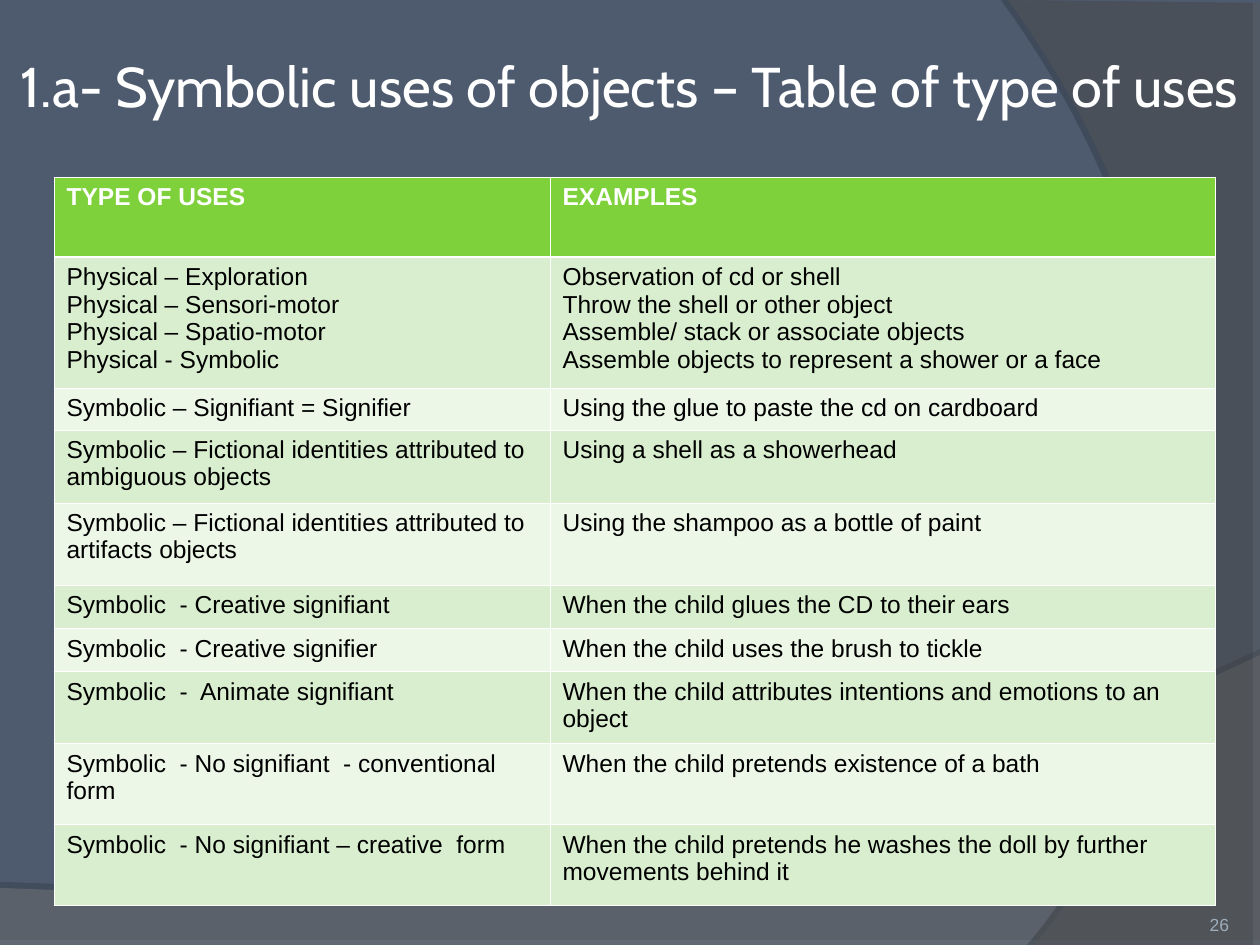
import dataclasses

import lxml.etree
import pptx
import pptx.dml.color
import pptx.enum.text
import pptx.oxml
import pptx.oxml.ns
import pptx.util

PX_PER_INCH = 126
CURVE_STEPS = 60
COLORS = {
    "background": "4E5B6F",
    "wave": "7C7C7C",
    "arc": "595959",
    "shadow": "000000",
    "header": "7FD13B",
    "dark_band": "D8EECE",
    "light_band": "ECF7E8",
    "white": "FFFFFF",
    "black": "000000",
    "number": "9DADBC",
}
Point = tuple[int, int]


@dataclasses.dataclass(frozen=True)
class Swoosh:
    corners: list[Point]
    controls: list[Point]
    color: str
    opacity: int
    shadow_opacity: int
    shadow_distance: float
    shadow_angle: int


@dataclasses.dataclass(frozen=True)
class UseRow:
    kind: str
    example: str
    height: int


SWOOSHES = [
    Swoosh([(0, 888), (0, 946), (1260, 946), (1260, 655)],
           [(704, 919), (493, 906), (0, 888)], "wave", 45, 35, 3.5, 270),
    Swoosh([(1260, 3), (1260, 945), (1034, 945)],
           [(1178, 780), (1283, 378), (1008, 0)], "arc", 40, 45, 4, 180),
]
USE_ROWS = [
    UseRow("TYPE OF USES", "EXAMPLES", 80),
    UseRow("Physical – Exploration\nPhysical – Sensori-motor\n"
           "Physical – Spatio-motor\nPhysical - Symbolic",
           "Observation of cd or shell\nThrow the shell or other object\n"
           "Assemble/ stack or associate objects\n"
           "Assemble objects to represent a shower or a face", 131),
    UseRow("Symbolic – Signifiant = Signifier",
           "Using the glue to paste the cd on cardboard", 42),
    UseRow("Symbolic – Fictional identities attributed to ambiguous objects",
           "Using a shell as a showerhead", 73),
    UseRow("Symbolic – Fictional identities attributed to artifacts objects",
           "Using the shampoo as a bottle of paint", 82),
    UseRow("Symbolic  - Creative signifiant",
           "When the child glues the CD to their ears", 44),
    UseRow("Symbolic  - Creative signifier",
           "When the child uses the brush to tickle", 43),
    UseRow("Symbolic  -  Animate signifiant",
           "When the child attributes intentions and emotions to an object", 72),
    UseRow("Symbolic  - No signifiant  - conventional form",
           "When the child pretends existence of a bath", 81),
    UseRow("Symbolic  - No signifiant – creative  form",
           "When the child pretends he washes the doll by further movements behind it", 81),
]
COLUMN_WIDTHS = [496, 665]


def px(length: int) -> pptx.util.Emu:
    return pptx.util.Emu(round(length * 914400 / PX_PER_INCH))


def rgb(name: str) -> pptx.dml.color.RGBColor:
    return pptx.dml.color.RGBColor.from_string(COLORS[name])


def add_node(parent, tag: str, **attributes):
    node = lxml.etree.SubElement(parent, pptx.oxml.ns.qn(tag))
    for name, value in attributes.items():
        node.set(name, str(value))
    return node


def write_text(frame, text: str, *, size: int, color: str, font: str = "Arial",
               bold: bool = False, align: str = "LEFT", anchor: str | None = None,
               insets: tuple[int, int, int, int] | None = None) -> None:
    frame.word_wrap = True
    if anchor:
        frame.auto_size = pptx.enum.text.MSO_AUTO_SIZE.NONE
        frame.vertical_anchor = pptx.enum.text.MSO_ANCHOR[anchor]
    if insets:
        (frame.margin_left, frame.margin_top,
         frame.margin_right, frame.margin_bottom) = map(px, insets)
    for index, line in enumerate(text.split("\n")):
        para = frame.add_paragraph() if index else frame.paragraphs[0]
        para.alignment = pptx.enum.text.PP_ALIGN[align]
        span = para.add_run()
        span.text = line
        span.font.name = font
        span.font.size = pptx.util.Pt(size)
        span.font.bold = bold
        span.font.color.rgb = rgb(color)


def curve_points(start: Point, controls: list[Point]) -> list[Point]:
    anchors = [start, *controls]
    points = []
    for step in range(1, CURVE_STEPS + 1):
        t = step / CURVE_STEPS
        weights = ((1 - t) ** 3, 3 * t * (1 - t) ** 2, 3 * t ** 2 * (1 - t), t ** 3)
        x, y = (sum(w * anchor[axis] for w, anchor in zip(weights, anchors))
                for axis in (0, 1))
        points.append((px(x), px(y)))
    return points


def draw_swoosh(page, swoosh: Swoosh):
    start, *corners = [(px(x), px(y)) for x, y in swoosh.corners]
    builder = page.shapes.build_freeform(*start, scale=1.0)
    builder.add_line_segments(
        corners + curve_points(swoosh.corners[-1], swoosh.controls), close=True)
    shape = builder.convert_to_shape()
    shape.fill.solid()
    shape.fill.fore_color.rgb = rgb(swoosh.color)
    shape.line.fill.background()
    shape.shadow.inherit = False
    properties = shape.element.spPr
    fill_color = properties.find(pptx.oxml.ns.qn("a:solidFill"))[0]
    add_node(fill_color, "a:alpha", val=swoosh.opacity * 1000)
    effects = properties.find(pptx.oxml.ns.qn("a:effectLst"))
    shadow = add_node(effects, "a:outerShdw", blurRad=0,
                      dist=pptx.util.Pt(swoosh.shadow_distance),
                      dir=swoosh.shadow_angle * 60000, rotWithShape=0)
    shadow_color = add_node(shadow, "a:srgbClr", val=COLORS["shadow"])
    add_node(shadow_color, "a:alpha", val=swoosh.shadow_opacity * 1000)
    return shape


def set_borders(cell, widths: dict[str, float]) -> None:
    properties = cell._tc.get_or_add_tcPr()
    for side, width in widths.items():
        line = add_node(properties, f"a:ln{side}", w=pptx.util.Pt(width))
        fill = add_node(line, "a:solidFill")
        add_node(fill, "a:srgbClr", val=COLORS["white"])


def draw_table(page, left: int, top: int, rows: list[UseRow]) -> None:
    height = sum(row.height for row in rows)
    table = page.shapes.add_table(len(rows), len(COLUMN_WIDTHS), px(left), px(top),
                                  px(sum(COLUMN_WIDTHS)), px(height)).table
    table.first_row = False
    table.horz_banding = False
    for column, width in zip(table.columns, COLUMN_WIDTHS):
        column.width = px(width)
    for index, row in enumerate(rows):
        table.rows[index].height = px(row.height)
        is_header = index == 0
        band = "header" if is_header else "dark_band" if index % 2 else "light_band"
        for position, text in enumerate((row.kind, row.example)):
            cell = table.cell(index, position)
            set_borders(cell, {"L": 0.45, "R": 0.45,
                               "T": 1.47 if index == 1 else 0.45,
                               "B": 1.47 if is_header else 0.45})
            cell.fill.solid()
            cell.fill.fore_color.rgb = rgb(band)
            write_text(cell.text_frame, text, size=14, bold=is_header,
                       color="white" if is_header else "black")


def main() -> None:
    deck = pptx.Presentation()
    deck.slide_width, deck.slide_height = px(1260), px(945)
    page = deck.slides.add_slide(deck.slide_layouts[5])
    page.background.fill.solid()
    page.background.fill.fore_color.rgb = rgb("background")

    title = page.shapes.title
    for swoosh in SWOOSHES:
        title.element.addprevious(draw_swoosh(page, swoosh).element)
    title.left, title.top, title.width, title.height = map(px, (0, 38, 1260, 157))
    write_text(title.text_frame, "1.a- Symbolic uses of objects – Table of type of uses",
               size=32, color="white", font="Cabin", align="CENTER",
               anchor="MIDDLE", insets=(6, 6, 6, 68))

    draw_table(page, 54, 177, USE_ROWS)

    number = page.shapes.add_textbox(*map(px, (1124, 885, 105, 50)))
    write_text(number.text_frame, "26", size=10, color="number", align="RIGHT",
               anchor="BOTTOM", insets=(0, 0, 0, 0))
    deck.save("out.pptx")


if __name__ == "__main__":
    main()
